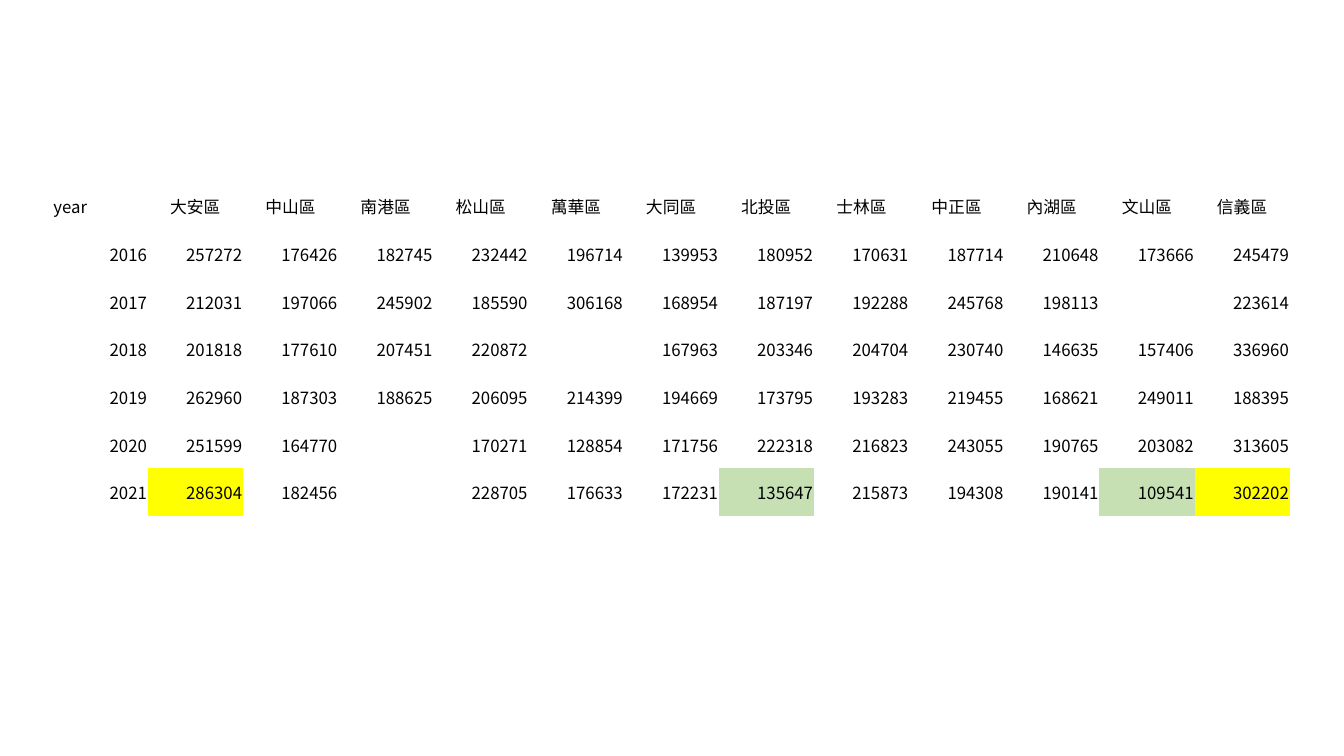
from lxml.etree import SubElement
from pptx import Presentation
from pptx.dml.color import RGBColor
from pptx.enum.text import MSO_ANCHOR as Anchor, PP_ALIGN as Align
from pptx.oxml.ns import qn
from pptx.util import Pt

COLOURS = {"text": "000000", "high": "FFFF00", "low": "C6E0B4"}
NO_GRID_STYLE = "{2D5ABB26-0587-4C30-8999-92F81FD0307C}"

# Yearly figures for each district
DISTRICTS = "大安區 中山區 南港區 松山區 萬華區 大同區 北投區 士林區 中正區 內湖區 文山區 信義區".split()
FIGURES = {
    2016: [257272, 176426, 182745, 232442, 196714, 139953,
           180952, 170631, 187714, 210648, 173666, 245479],
    2017: [212031, 197066, 245902, 185590, 306168, 168954,
           187197, 192288, 245768, 198113, None, 223614],
    2018: [201818, 177610, 207451, 220872, None, 167963,
           203346, 204704, 230740, 146635, 157406, 336960],
    2019: [262960, 187303, 188625, 206095, 214399, 194669,
           173795, 193283, 219455, 168621, 249011, 188395],
    2020: [251599, 164770, None, 170271, 128854, 171756,
           222318, 216823, 243055, 190765, 203082, 313605],
    2021: [286304, 182456, None, 228705, 176633, 172231,
           135647, 215873, 194308, 190141, 109541, 302202],
}
# The two highest and two lowest districts of the last year
HIGHLIGHTS = {(2021, "大安區"): "high", (2021, "信義區"): "high",
              (2021, "北投區"): "low", (2021, "文山區"): "low"}


def write(para, text, font, size, colour, align=None):
    para.alignment = align
    span = para.add_run()
    span.text = text
    span.font.name = font
    span.font.size = Pt(size)
    span.font.color.rgb = RGBColor.from_string(colour)


class Page:
    font = "Noto Sans CJK TC"
    size = 12
    inset = 0.6

    def __init__(self, deck):
        self.slide = deck.slides.add_slide(deck.slide_layouts[6])

    def table(self, rows, columns, left, top, column_width, row_height):
        frame = self.slide.shapes.add_table(
            rows, columns, Pt(left), Pt(top),
            Pt(column_width * columns), Pt(row_height * rows))
        table = frame.table
        table.first_row = table.horz_banding = False
        for style in frame.element.iter(qn("a:tableStyleId")):
            style.text = NO_GRID_STYLE
        for column in table.columns:
            column.width = Pt(column_width)
        for row in table.rows:
            row.height = Pt(row_height)
        return frame

    def cell(self, cell, text, align=None, fill=None):
        cell.margin_left = cell.margin_right = cell.margin_top = Pt(self.inset)
        cell.margin_bottom = Pt(0)
        cell.vertical_anchor = Anchor.MIDDLE
        if fill:
            cell.fill.solid()
            cell.fill.fore_color.rgb = RGBColor.from_string(COLOURS[fill])
        else:
            cell.fill.background()
        if text:
            write(cell.text_frame.paragraphs[0], text, font=self.font,
                  size=self.size, colour=COLOURS["text"], align=align)

    def set_east_asian_font(self, frame):
        for properties in frame.element.iter(qn("a:rPr")):
            SubElement(properties, qn("a:ea"), typeface=self.font)


def main():
    deck = Presentation()
    deck.slide_width, deck.slide_height = Pt(960), Pt(540)
    page = Page(deck)
    frame = page.table(len(FIGURES) + 1, len(DISTRICTS) + 1, left=37.6,
                       top=130.3, column_width=68, row_height=34.05)
    table = frame.table

    # Header row
    page.cell(table.cell(0, 0), "year")
    for column, district in enumerate(DISTRICTS, 1):
        page.cell(table.cell(0, column), district, Align.CENTER)

    # One row for each year
    for row, (year, values) in enumerate(FIGURES.items(), 1):
        page.cell(table.cell(row, 0), str(year), Align.RIGHT)
        for column, (district, value) in enumerate(zip(DISTRICTS, values), 1):
            page.cell(table.cell(row, column), str(value or ""), Align.RIGHT,
                      HIGHLIGHTS.get((year, district)))
    page.set_east_asian_font(frame)
    deck.save("out.pptx")


if __name__ == "__main__":
    main()
